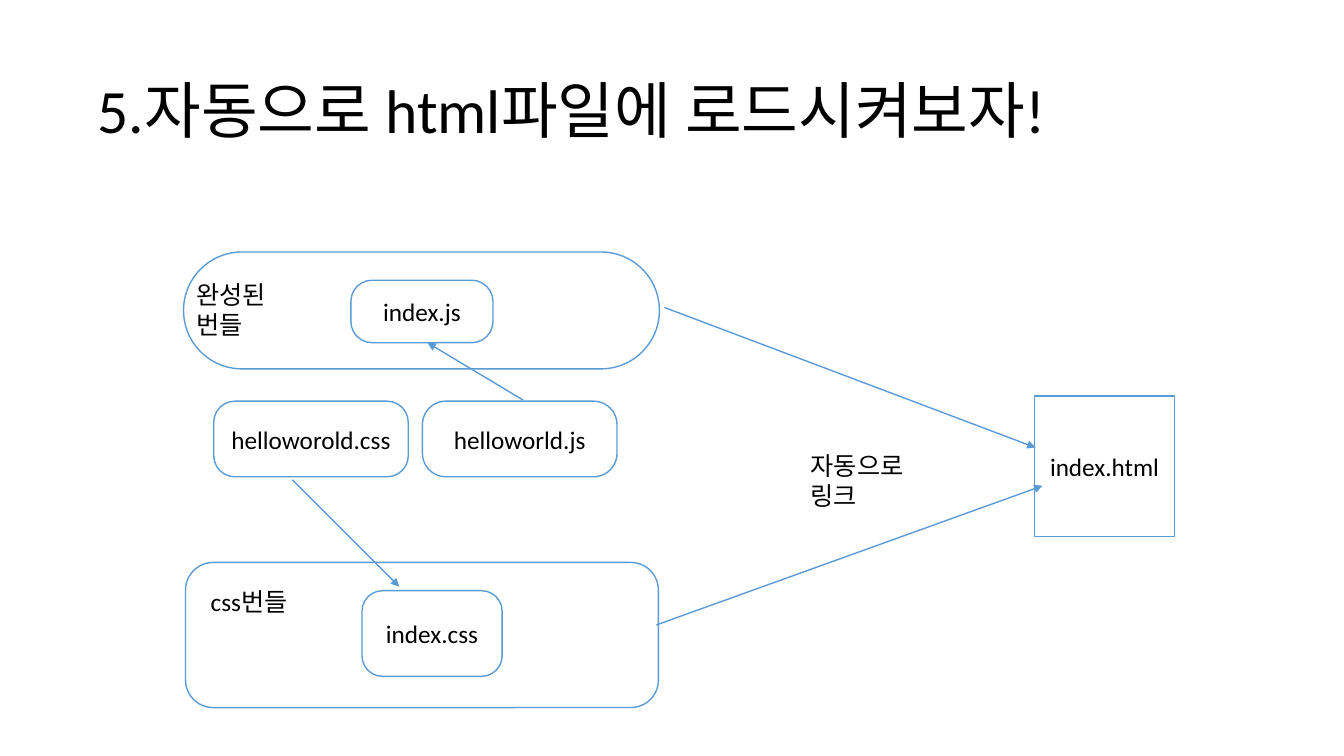
"""Builds a slide showing how the bundles are linked into an html file."""
from lxml import etree
from pptx import Presentation
from pptx.dml.color import RGBColor
from pptx.enum.shapes import MSO_CONNECTOR, MSO_SHAPE
from pptx.enum.text import MSO_ANCHOR, MSO_AUTO_SIZE, PP_ALIGN
from pptx.oxml.ns import qn
from pptx.util import Inches, Pt

BLACK = RGBColor(0x00, 0x00, 0x00)
WHITE = RGBColor(0xFF, 0xFF, 0xFF)
BLUE = RGBColor(0x5B, 0x9B, 0xD5)
FONT = "Calibri"
INSET = 0.05

TITLE = ("5.자동으로 html파일에 로드시켜보자!", 0.92, 0.4, 11.5, 1.45)
BOXES = [
    ("", 1.84, 5.58, 4.69, 1.44, 0.19),
    ("", 1.82, 2.5, 4.72, 1.16, 0.5),
    ("index.js", 3.48, 2.78, 1.41, 0.62, 0.34),
    ("helloworold.css", 2.12, 3.98, 1.93, 0.75, 0.28),
    ("helloworld.js", 4.19, 3.98, 1.93, 0.75, 0.31),
    ("index.html", 10.26, 3.93, 1.39, 1.39, None),
    ("index.css", 3.59, 5.86, 1.39, 0.85, 0.24),
]
LABELS = [
    ("완성된 번들", 1.9, 2.72, 1.27, 0.41),
    ("css번들", 2.04, 5.77, 0.87, 0.41),
    ("자동으로 링크", 7.99, 4.42, 1.49, 0.41),
]
ARROWS = [
    (2.9, 4.76, 3.96, 5.82),
    (5.19, 3.97, 4.24, 3.4),
    (6.59, 3.05, 10.27, 4.44),
    (6.51, 6.2, 10.34, 4.82),
]


def write(shape, text, size, anchor, align=PP_ALIGN.LEFT):
    frame = shape.text_frame
    frame.margin_left = frame.margin_right = Inches(INSET)
    frame.margin_top = frame.margin_bottom = Inches(INSET)
    frame.vertical_anchor = anchor
    para = frame.paragraphs[0]
    para.alignment = align
    span = para.add_run()
    span.text = text
    span.font.size = Pt(size)
    span.font.name = FONT
    span.font.color.rgb = BLACK
    return frame


def add_title(page, text, *place):
    box = page.shapes.add_textbox(*map(Inches, place))
    frame = write(box, text, 44, MSO_ANCHOR.MIDDLE)
    frame.word_wrap = True
    frame.paragraphs[0].line_spacing = 0.9


def add_box(page, text, left, top, width, height, rounding):
    kind = MSO_SHAPE.RECTANGLE if rounding is None else MSO_SHAPE.ROUNDED_RECTANGLE
    box = page.shapes.add_shape(kind, *map(Inches, (left, top, width, height)))
    if rounding is not None:
        box.adjustments[0] = rounding
    box.shadow.inherit = False
    box.fill.solid()
    box.fill.fore_color.rgb = WHITE
    box.line.color.rgb = BLUE
    box.line.width = Pt(1)
    if text:
        write(box, text, 18, MSO_ANCHOR.MIDDLE, PP_ALIGN.CENTER)


def add_label(page, text, *place):
    box = page.shapes.add_textbox(*map(Inches, place))
    frame = write(box, text, 18, MSO_ANCHOR.TOP)
    frame.word_wrap = False
    frame.auto_size = MSO_AUTO_SIZE.SHAPE_TO_FIT_TEXT


def add_arrow(page, *ends):
    arrow = page.shapes.add_connector(MSO_CONNECTOR.STRAIGHT, *map(Inches, ends))
    arrow.line.color.rgb = BLUE
    arrow.line.width = Pt(1)
    etree.SubElement(arrow.line._get_or_add_ln(), qn("a:tailEnd"), type="triangle")
    etree.SubElement(arrow._element.spPr, qn("a:effectLst"))


def main():
    deck = Presentation()
    deck.slide_width, deck.slide_height = Inches(13.33), Inches(7.5)
    page = deck.slides.add_slide(deck.slide_layouts[6])
    add_title(page, *TITLE)
    for add, items in ((add_box, BOXES), (add_arrow, ARROWS), (add_label, LABELS)):
        for item in items:
            add(page, *item)
    deck.save("out.pptx")


if __name__ == "__main__":
    main()
